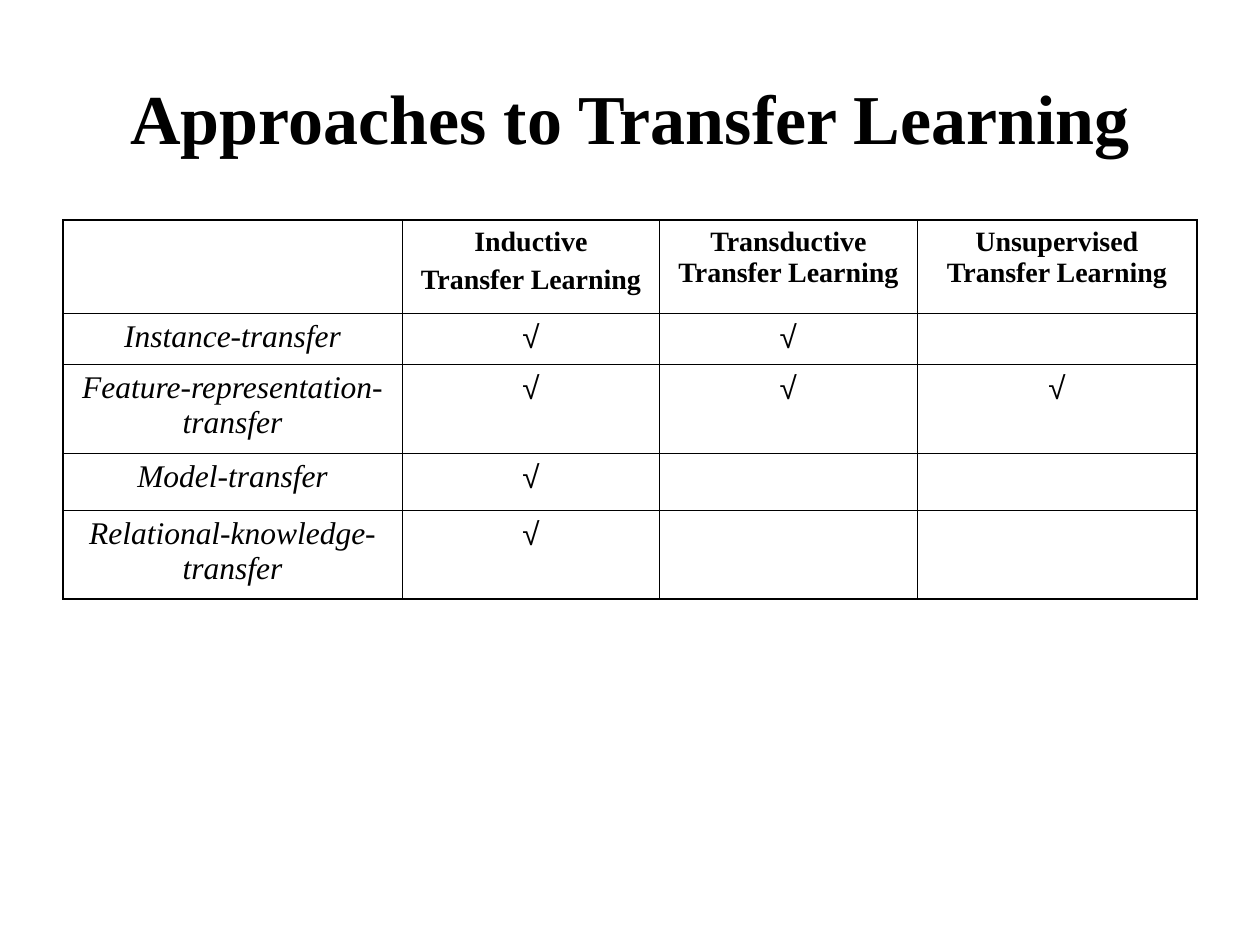
from lxml import etree
from pptx import Presentation
from pptx.dml.color import RGBColor
from pptx.enum.text import MSO_ANCHOR, PP_ALIGN
from pptx.oxml.ns import qn
from pptx.util import Cm, Pt

CENTER = PP_ALIGN.CENTER
MIDDLE, TOP = MSO_ANCHOR.MIDDLE, MSO_ANCHOR.TOP
TITLE_ONLY = 5

COLORS = {"text": "000000", "rule": "000000"}
SERIF, SANS = "Times New Roman", "Arial"
FORMATS = {
    "title": {"name": SERIF, "size": Pt(40), "bold": True},
    "setting": {"name": SERIF, "size": Pt(16), "bold": True},
    "approach": {"name": SERIF, "size": Pt(18), "italic": True},
    "mark": {"name": SANS, "size": Pt(18)},
}
MARGINS = {
    "margin_left": Cm(0.25), "margin_right": Cm(0.25),
    "margin_top": Cm(0.13), "margin_bottom": Cm(0.13),
}
OUTER_RULE, INNER_RULE = Pt(1.08), Pt(0.45)

SETTINGS = [
    "Inductive\nTransfer Learning",
    "Transductive Transfer Learning",
    "Unsupervised Transfer Learning",
]
# Approach and the number of settings, from the left, that it applies to
APPROACHES = [
    ("Instance-transfer", 2),
    ("Feature-representation-transfer", 3),
    ("Model-transfer", 1),
    ("Relational-knowledge-transfer", 1),
]
COLUMN_WIDTHS = [6.84, 5.19, 5.19, 5.64]
ROW_HEIGHTS = [1.87, 1.01, 1.79, 1.15, 1.79]


def set_attributes(target, values):
    for attribute, value in values.items():
        setattr(target, attribute, value)


def write(text_frame, text, style):
    text_frame.text = text
    for index, paragraph in enumerate(text_frame.paragraphs):
        paragraph.alignment = CENTER
        if index:
            paragraph.space_before = Pt(4)
        for run in paragraph.runs:
            set_attributes(run.font, FORMATS[style])
            run.font.color.rgb = RGBColor.from_string(COLORS["text"])


def rule_cell(cell, outer_sides):
    """Draw the four borders of a cell, heavier on its outer sides."""
    properties = cell._tc.get_or_add_tcPr()
    for side in "LRTB":
        width = OUTER_RULE if side in outer_sides else INNER_RULE
        line = etree.SubElement(properties, qn(f"a:ln{side}"), w=str(int(width)))
        fill = etree.SubElement(line, qn("a:solidFill"))
        etree.SubElement(fill, qn("a:srgbClr"), val=COLORS["rule"])
    cell.fill.background()


def add_title(slide, left, top, width, height):
    title = slide.shapes.title
    set_attributes(title, {"left": left, "top": top, "width": width, "height": height})
    set_attributes(title.text_frame, {"vertical_anchor": MIDDLE, "word_wrap": True, **MARGINS})
    write(title.text_frame, "Approaches to Transfer Learning", "title")


def add_approach_table(slide, left, top, width, height):
    rows = [["", *SETTINGS]]
    for approach, count in APPROACHES:
        rows.append([approach] + ["√"] * count + [""] * (len(SETTINGS) - count))
    last_row, last_column = len(rows) - 1, len(SETTINGS)

    table = slide.shapes.add_table(len(rows), last_column + 1, left, top, width, height).table
    set_attributes(table, {"first_row": False, "horz_banding": False})
    for column, share in zip(table.columns, COLUMN_WIDTHS):
        column.width = int(width * share / sum(COLUMN_WIDTHS))
    for row, share in zip(table.rows, ROW_HEIGHTS):
        row.height = int(height * share / sum(ROW_HEIGHTS))

    for r, texts in enumerate(rows):
        for c, text in enumerate(texts):
            cell = table.cell(r, c)
            set_attributes(cell, {"vertical_anchor": TOP, **MARGINS})
            edges = {"L": c == 0, "R": c == last_column, "T": r == 0, "B": r == last_row}
            rule_cell(cell, [side for side, is_outer in edges.items() if is_outer])
            if text:
                style = "setting" if r == 0 else "approach" if c == 0 else "mark"
                write(cell.text_frame, text, style)


def main():
    presentation = Presentation()
    presentation.slide_width, presentation.slide_height = Cm(25.4), Cm(19.05)
    slide = presentation.slides.add_slide(presentation.slide_layouts[TITLE_ONLY])
    left, width = Cm(1.27), Cm(22.86)
    add_title(slide, left, Cm(0.76), width, Cm(3.18))
    add_approach_table(slide, left, Cm(4.44), width, Cm(7.61))
    presentation.save("out.pptx")


if __name__ == "__main__":
    main()
